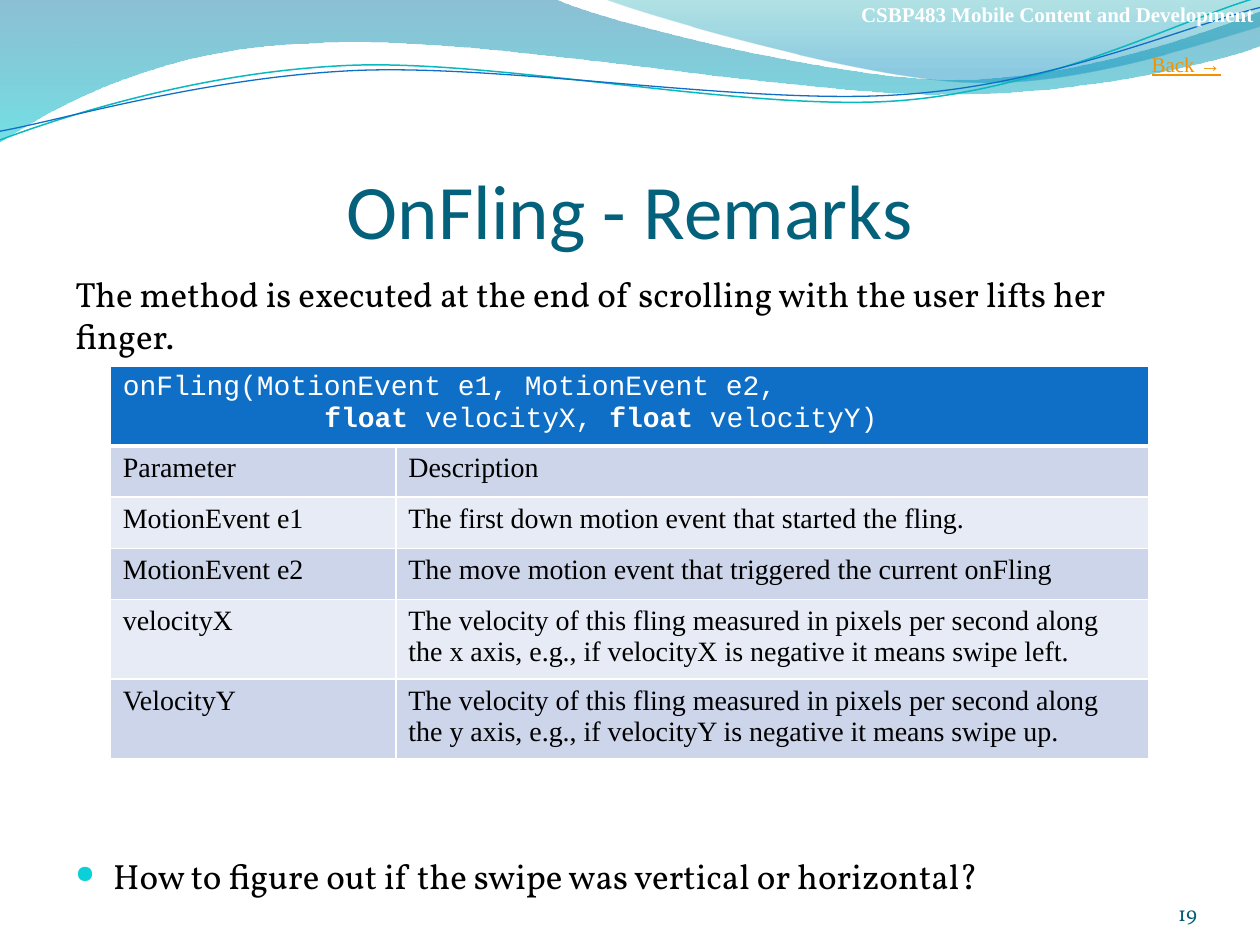
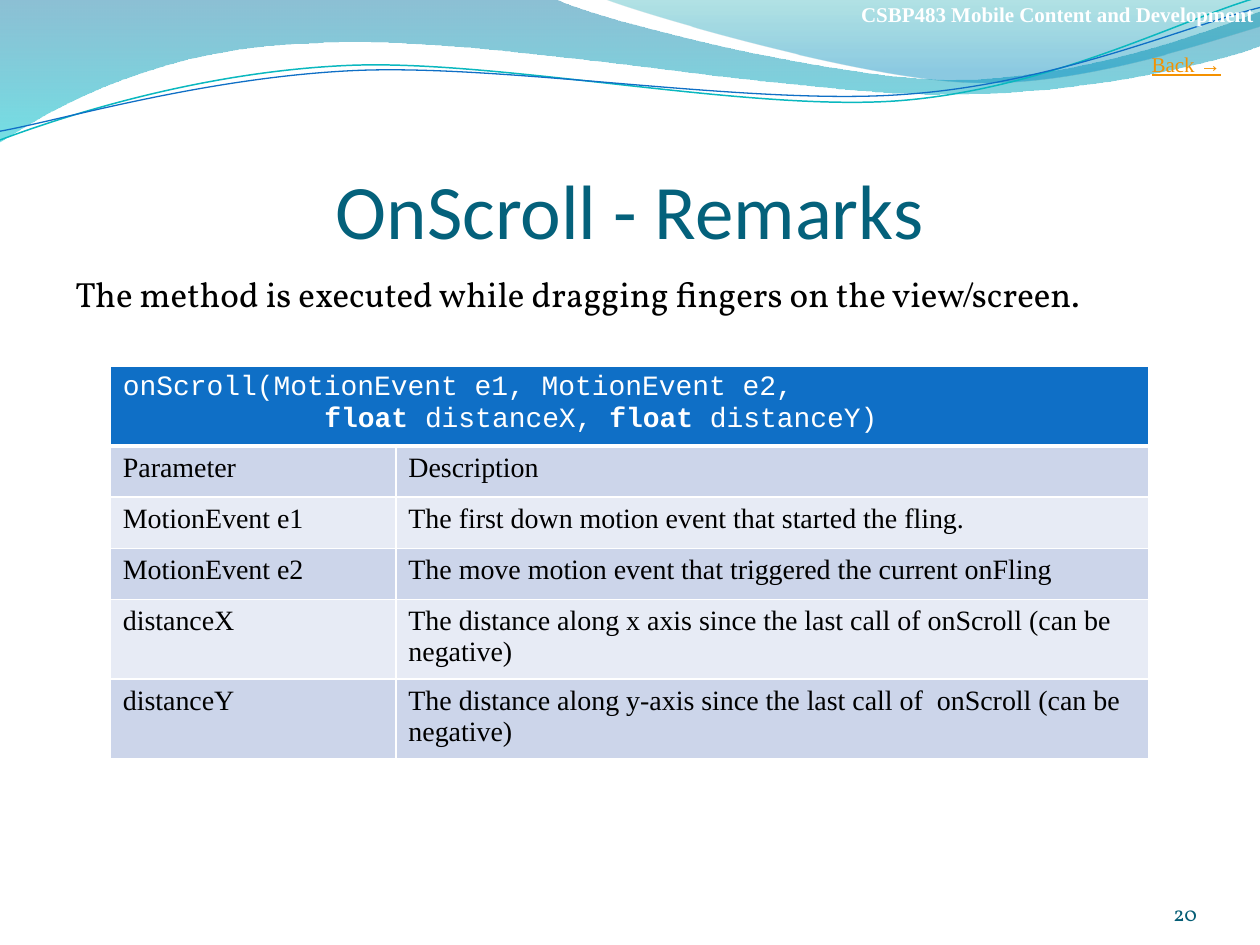
from dataclasses import dataclass
from typing import NamedTuple

from lxml.etree import SubElement
from pptx import Presentation
from pptx.dml.color import RGBColor
from pptx.enum.text import MSO_ANCHOR as Anchor, PP_ALIGN as Align
from pptx.oxml.ns import qn
from pptx.util import Pt

WHITE = RGBColor(0xFF, 0xFF, 0xFF)
BLACK = RGBColor(0x00, 0x00, 0x00)
TITLE_TEAL = RGBColor(0x04, 0x61, 0x7B)
NUMBER_TEAL = RGBColor(0x04, 0x5D, 0x75)
LINK_ORANGE = RGBColor(0xF4, 0x91, 0x00)
BULLET_CYAN = RGBColor(0x0B, 0xD0, 0xD9)
HEADER_BLUE = RGBColor(0x0F, 0x6F, 0xC6)
BAND_DARK = RGBColor(0xCC, 0xD5, 0xEA)
BAND_LIGHT = RGBColor(0xE7, 0xEB, 0xF5)
LINE_TEAL = RGBColor(0x0A, 0xB8, 0xBF)
WAVE_BLUE = RGBColor(0x00, 0x74, 0xA1)
WAVE_CYAN = RGBColor(0x00, 0xC6, 0xCF)
CREST_TEAL = RGBColor(0x00, 0xA1, 0xA9)
CREST_BLUE = RGBColor(0x00, 0x8B, 0xBF)

SERIF, SANS, MONO, BODY = "Times New Roman", "Calibri", "Courier New", "Vollkorn"

ROW_HEIGHT = 29.2
CODE_INDENT = 115.2
BULLET_INDENT = 21.6
QUESTION_GAP = 284.5


class Area(NamedTuple):
    left: float
    top: float
    width: float
    height: float


class Stop(NamedTuple):
    position: float
    color: RGBColor
    opacity: int


@dataclass(frozen=True)
class Wave:
    """Outline as a start point and legs: 2 numbers make a line, 6 a Bezier curve."""
    start: tuple[float, float]
    legs: list[tuple[float, ...]]
    stops: tuple[Stop, ...] = ()
    line_color: RGBColor | None = None
    line_width: float = 0


@dataclass(frozen=True)
class Remarks:
    number: int
    method: str
    summary: str
    measure: str
    parameters: list[tuple[str, str]]
    question: str = ""


WAVES = [
    Wave((0, 0), [
        (317, -0.7),
        (343, 12, 478, 45.4, 546, 45.4),
        (614, 45.4, 690, 18.7, 720, 6.5),
        (721, 26),
        (708, 31.7, 626, 54.7, 537, 54),
        (448, 54, 275, 20, 185, 24.5),
        (93, 26, 33, 60, -0.7, 81.4),
    ], stops=(Stop(0, WAVE_BLUE, 45), Stop(1, WAVE_CYAN, 55))),
    Wave((345, -0.7), [
        (366.5, 8, 491, 44.6, 553.7, 46.8),
        (616.3, 49.7, 692, 23, 720, 15),
        (720, 0),
    ], stops=(Stop(0, CREST_TEAL, 30), Stop(0.8, CREST_BLUE, 45))),
    Wave((0, 80), [
        (34.6, 67, 113.8, 41, 199.4, 37.4),
        (284.4, 33.8, 427, 64, 513.4, 57.6),
        (599.8, 51, 675.4, 10.8, 718.6, -1.4),
    ], line_color=LINE_TEAL, line_width=0.85),
    Wave((0, 75), [
        (33.8, 69, 118, 44, 203.8, 40.3),
        (290.2, 36.7, 429.8, 60.5, 516.2, 54),
        (602, 48.2, 677.5, 15, 720, 4.3),
    ], line_color=HEADER_BLUE, line_width=0.75),
]

COMMON_PARAMETERS = [
    ("Parameter", "Description"),
    ("MotionEvent e1", "The first down motion event that started the fling."),
    ("MotionEvent e2", "The move motion event that triggered the current onFling"),
]

PAGES = [
    Remarks(
        19, "Fling",
        "The method is executed at the end of scrolling with the user lifts her finger.",
        "velocity",
        [("velocityX", "The velocity of this fling measured in pixels per second along "
                       "the x axis, e.g., if velocityX is negative it means swipe left."),
         ("VelocityY", "The velocity of this fling measured in pixels per second along "
                       "the y axis, e.g., if velocityY is negative it means swipe up.")],
        "How to figure out if the swipe was vertical or horizontal?"),
    Remarks(
        20, "Scroll",
        "The method is executed while dragging fingers on the view/screen.",
        "distance",
        [("distanceX", "The distance along x axis since the last call of onScroll "
                       "(can be negative)"),
         ("distanceY", "The distance along y-axis since the last call of  onScroll "
                       "(can be negative)")]),
]


def write(para, text: str, *, font: str, size: float, color: RGBColor,
          bold: bool = False, underline: bool = False) -> None:
    span = para.add_run()
    span.text = text
    style = span.font
    style.name, style.size, style.bold = font, Pt(size), bold
    style.color.rgb = color
    if underline:
        style.underline = True


def add_box(page, area: Area, *, anchor=Anchor.TOP, wrap: bool = True,
            margins: tuple[float, ...] = (0, 0, 0, 0)):
    frame = page.shapes.add_textbox(*map(Pt, area)).text_frame
    frame.word_wrap = wrap
    frame.vertical_anchor = anchor
    (frame.margin_left, frame.margin_top,
     frame.margin_right, frame.margin_bottom) = map(Pt, margins)
    return frame


def bend_legs(shape, wave: Wave) -> None:
    """Join each three straight segments of a curved leg into one Bezier curve."""
    segments = iter(list(shape.element.spPr.iter(qn("a:lnTo"))))
    for leg in wave.legs:
        first = next(segments)
        if len(leg) == 2:
            continue
        first.tag = qn("a:cubicBezTo")
        for segment in (next(segments), next(segments)):
            first.append(segment[0])
            segment.getparent().remove(segment)


def add_wave(page, wave: Wave) -> None:
    points = [(Pt(x), Pt(y)) for leg in wave.legs for x, y in zip(leg[::2], leg[1::2])]
    builder = page.shapes.build_freeform(*map(Pt, wave.start), scale=1.0)
    builder.add_line_segments(points, close=bool(wave.stops))
    shape = builder.convert_to_shape()
    # The closing segment is a close command or a last line; both follow the legs.
    bend_legs(shape, wave)
    shape.shadow.inherit = False
    if not wave.stops:
        shape.fill.background()
        shape.line.color.rgb = wave.line_color
        shape.line.width = Pt(wave.line_width)
        return
    shape.line.fill.background()
    shape.fill.gradient()
    shape.fill.gradient_angle = 270
    for target, stop in zip(shape.fill.gradient_stops, wave.stops):
        target.color.rgb = stop.color
        target.position = stop.position
    colors = shape.element.spPr.iter(qn("a:srgbClr"))
    for color, stop in zip(colors, wave.stops):
        SubElement(color, qn("a:alpha"), val=str(stop.opacity * 1000))


def set_bullet(para) -> None:
    properties = para._p.get_or_add_pPr()
    properties.set("marL", str(Pt(BULLET_INDENT)))
    properties.set("indent", str(-Pt(BULLET_INDENT)))
    color = SubElement(properties, qn("a:buClr"))
    SubElement(color, qn("a:srgbClr"), val=str(BULLET_CYAN))
    SubElement(properties, qn("a:buSzPct"), val="70000")
    SubElement(properties, qn("a:buChar"), char="●")


def style_cell(cell, fill: RGBColor, *, top: float = 1, bottom: float = 1) -> None:
    """Fill the cell and give it white borders."""
    cell.fill.solid()
    cell.fill.fore_color.rgb = fill
    properties = cell._tc.get_or_add_tcPr()
    for index, (side, width) in enumerate(
            [("lnL", 1), ("lnR", 1), ("lnT", top), ("lnB", bottom)]):
        border = SubElement(properties, qn(f"a:{side}"), w=str(Pt(width)))
        paint = SubElement(border, qn("a:solidFill"))
        SubElement(paint, qn("a:srgbClr"), val=str(WHITE))
        properties.insert(index, border)


def add_parameter_table(page, remarks: Remarks) -> None:
    rows = COMMON_PARAMETERS + remarks.parameters
    count = len(rows) + 1
    area = Area(63, 209.3, 593.7, ROW_HEIGHT * count)
    table = page.shapes.add_table(count, 2, *map(Pt, area)).table
    table.first_row = table.horz_banding = False
    for column, width in zip(table.columns, (163.2, 430.5)):
        column.width = Pt(width)

    header = table.cell(0, 0)
    header.merge(table.cell(0, 1))
    for cell in table.rows[0].cells:
        style_cell(cell, HEADER_BLUE, bottom=3)
    code = dict(font=MONO, size=16, color=WHITE)
    first = header.text_frame.paragraphs[0]
    write(first, f"on{remarks.method}(MotionEvent e1, MotionEvent e2,", **code)
    second = header.text_frame.add_paragraph()
    second._p.get_or_add_pPr().set("marL", str(Pt(CODE_INDENT)))
    for ending in ("X, ", "Y)"):
        write(second, "float ", bold=True, **code)
        write(second, remarks.measure + ending, **code)

    for index, texts in enumerate(rows, start=1):
        for cell, text in zip(table.rows[index].cells, texts):
            style_cell(cell, BAND_DARK if index % 2 else BAND_LIGHT,
                       top=3 if index == 1 else 1)
            write(cell.text_frame.paragraphs[0], text, font=SERIF, size=16, color=BLACK)


def add_frame(page, number: int) -> None:
    """Draw the waves, course name, back link and page number."""
    for wave in WAVES:
        add_wave(page, wave)
    course = add_box(page, Area(492, 0, 228, 15), anchor=Anchor.BOTTOM, wrap=False)
    write(course.paragraphs[0], "CSBP483 Mobile Content and Development",
          font=SERIF, size=12, color=WHITE, bold=True)
    back = add_box(page, Area(651, 26, 55, 21.6), wrap=False, margins=(7.2, 3.6, 7.2, 3.6))
    write(back.paragraphs[0], "Back →", font=SERIF, size=12, color=LINK_ORANGE,
          underline=True)
    footer = add_box(page, Area(624, 500.4, 60, 28.8), anchor=Anchor.BOTTOM)
    footer.paragraphs[0].alignment = Align.RIGHT
    write(footer.paragraphs[0], str(number), font=BODY, size=12, color=NUMBER_TEAL)


def add_remarks_page(deck, remarks: Remarks) -> None:
    page = deck.slides.add_slide(deck.slide_layouts[6])
    add_frame(page, remarks.number)
    title = add_box(page, Area(36, 55.4, 648, 90), anchor=Anchor.BOTTOM,
                    margins=(0, 3.6, 0, 0))
    title.paragraphs[0].alignment = Align.CENTER
    write(title.paragraphs[0], f"On{remarks.method} - Remarks",
          font=SANS, size=44, color=TITLE_TEAL)
    body = add_box(page, Area(36, 152.2, 648, 376.6), margins=(7.2, 3.6, 7.2, 3.6))
    body_style = dict(font=BODY, size=20, color=BLACK)
    write(body.paragraphs[0], remarks.summary, **body_style)
    if remarks.question:
        question = body.add_paragraph()
        question.space_before = Pt(QUESTION_GAP)
        set_bullet(question)
        write(question, remarks.question, **body_style)
    add_parameter_table(page, remarks)


def main() -> None:
    deck = Presentation()
    deck.slide_width, deck.slide_height = Pt(720), Pt(540)
    for remarks in PAGES:
        add_remarks_page(deck, remarks)
    deck.save("out.pptx")


if __name__ == "__main__":
    main()
